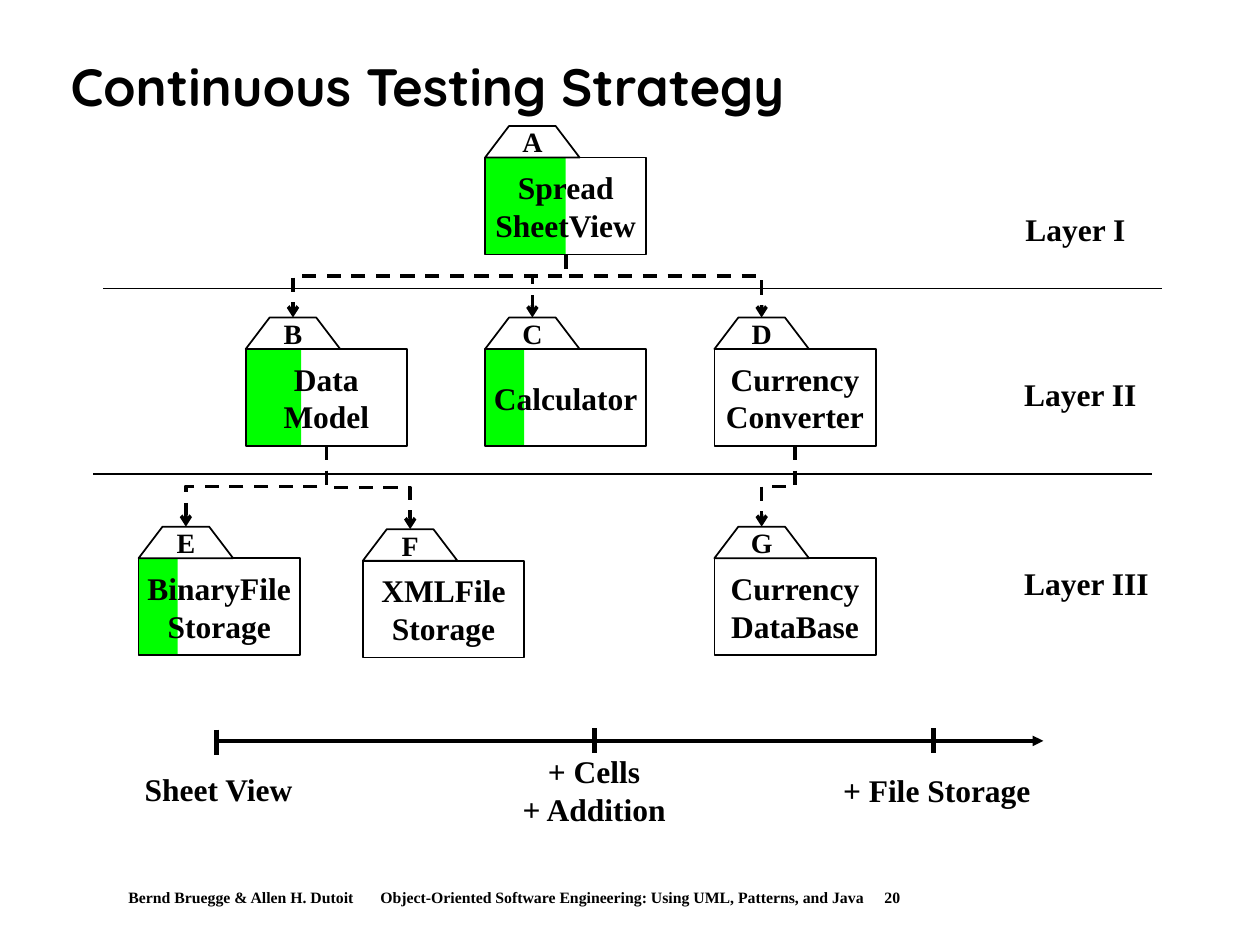
from lxml import etree
from pptx import Presentation
from pptx import util as u
from pptx.dml.color import RGBColor
from pptx.enum import dml, shapes, text
from pptx.oxml import ns

BLACK = RGBColor(0, 0, 0)
WHITE = RGBColor(255, 255, 255)
GREEN = RGBColor(0, 255, 0)
SERIF = "Times New Roman"
ROUND = "Quicksand"
BOX_W, BOX_H = 1.28, 0.77
TAB_W, TAB_H, SLANT = 0.75, 0.25, 0.19
LEFT, MID = text.PP_ALIGN.LEFT, text.PP_ALIGN.CENTER


def add_node(parent, tag, **attrs):
    return etree.SubElement(parent, ns.qn(tag), **attrs)


class Board:
    """Holds the slide and the style of its elements."""

    def __init__(self, slide, font=SERIF, size=18):
        self.slide = slide
        self.items = slide.shapes
        self.font = font
        self.size = size

    def put_text(self, frame, words, size=None, font=None, align=MID):
        frame.text = words
        for para in frame.paragraphs:
            para.alignment = align
            for run in para.runs:
                run.font.name = font or self.font
                run.font.size = u.Pt(size or self.size)
                run.font.bold = True
                run.font.color.rgb = BLACK

    def title(self, words):
        head = self.items.title
        head.left, head.top = u.Inches(0.46), u.Inches(0.24)
        head.width, head.height = u.Inches(8.92), u.Inches(0.94)
        frame = head.text_frame
        frame.vertical_anchor = text.MSO_ANCHOR.MIDDLE
        self.put_text(frame, words, 30, ROUND, LEFT)
        frame.paragraphs[0].line_spacing = 0.9

    def label(self, x, y, w, h, words, align=MID):
        box = self.items.add_textbox(*map(u.Inches, (x, y, w, h)))
        frame = box.text_frame
        frame.word_wrap = False
        frame.vertical_anchor = text.MSO_ANCHOR.MIDDLE
        self.put_text(frame, words, align=align)

    def footer(self, parts, stops):
        """One line of parts, each after the first set at a tab stop."""
        box = self.items.add_textbox(*map(u.Inches, (0.58, 7, 9.17, 0.25)))
        frame = box.text_frame
        frame.word_wrap = True
        frame.margin_left = u.Inches(0.44)
        frame.margin_right = 0
        props = frame.paragraphs[0]._p.get_or_add_pPr()
        tabs = add_node(props, "a:tabLst")
        for stop in stops:
            add_node(tabs, "a:tab", pos=str(u.Inches(stop)), algn="l")
        self.put_text(frame, "\t".join(parts), 9, align=LEFT)

    def style(self, shape, fill=None, line=None):
        shape.shadow.inherit = False
        if fill is None:
            shape.fill.background()
        else:
            shape.fill.solid()
            shape.fill.fore_color.rgb = fill
        if line is None:
            shape.line.fill.background()
        else:
            shape.line.color.rgb = line
            shape.line.width = u.Pt(1)

    def caption(self, shape, words, size=None):
        frame = shape.text_frame
        frame.word_wrap = False
        frame.vertical_anchor = text.MSO_ANCHOR.MIDDLE
        self.put_text(frame, words, size)

    def rect(self, x, y, w, fill=None, line=None):
        shape = self.items.add_shape(
            shapes.MSO_SHAPE.RECTANGLE, *map(u.Inches, (x, y, w, BOX_H)))
        self.style(shape, fill, line)
        return shape

    def pack(self, x, y, name, words, bars):
        """A package: green progress bars, body and lettered tab."""
        left = x
        for width in bars:
            self.rect(left, y, width, GREEN)
            left += width
        body = self.rect(x, y, BOX_W, None if bars else WHITE, BLACK)
        self.caption(body, words)
        outline = self.items.build_freeform(u.Inches(x), u.Inches(y))
        outline.add_line_segments([
            (u.Inches(x + SLANT), u.Inches(y - TAB_H)),
            (u.Inches(x + TAB_W - SLANT), u.Inches(y - TAB_H)),
            (u.Inches(x + TAB_W), u.Inches(y))])
        tab = outline.convert_to_shape()
        self.style(tab, WHITE, BLACK)
        self.caption(tab, name, 16)

    def line(self, x1, y1, x2, y2, width=1, tail=None, dash=False,
             kind=shapes.MSO_CONNECTOR.STRAIGHT):
        link = self.items.add_connector(
            kind, *map(u.Inches, (x1, y1, x2, y2)))
        link.line.color.rgb = BLACK
        link.line.width = u.Pt(width)
        props = link._element.spPr
        if dash:
            link.line.dash_style = dml.MSO_LINE.DASH
        if tail:
            add_node(props.find(ns.qn("a:ln")), "a:tailEnd", type=tail)
        add_node(props, "a:effectLst")
        return link

    def elbow(self, x1, y1, x2, y2, bend):
        """Arrow that leaves downwards and turns at the given share."""
        mid_x, mid_y = (x1 + x2) / 2, (y1 + y2) / 2
        half_w, half_h = (y2 - y1) / 2, abs(x2 - x1) / 2
        side = 1 if x2 < x1 else -1
        link = self.line(mid_x - side * half_w, mid_y - half_h,
                         mid_x + side * half_w, mid_y + half_h,
                         2, "arrow", True, shapes.MSO_CONNECTOR.ELBOW)
        props = link._element.spPr
        turn = 90 if side == 1 else 270
        props.find(ns.qn("a:xfrm")).set("rot", str(turn * 60000))
        geom = props.find(ns.qn("a:prstGeom"))
        guides = geom.find(ns.qn("a:avLst"))
        if guides is None:
            guides = add_node(geom, "a:avLst")
        add_node(guides, "a:gd", name="adj1",
                 fmla=f"val {round(bend * 100000)}")


PACKS = {
    "A": (3.85, 1.25, "Spread\vSheetView", (0.31, 0.18, 0.15)),
    "B": (1.95, 2.77, "Data\vModel", (0.13, 0.31)),
    "C": (3.85, 2.77, "Calculator", (0.31,)),
    "D": (5.67, 2.77, "Currency\nConverter", ()),
    "E": (1.1, 4.43, "BinaryFile\vStorage", (0.31,)),
    "F": (2.88, 4.45, "XMLFile\vStorage", ()),
    "G": (5.67, 4.43, "Currency\vDataBase", ()),
}
LINKS = [("AB", 0.34), ("AC", 0.34), ("AD", 0.34),
         ("DG", 0.5), ("BF", 0.5), ("BE", 0.5)]
LAYERS = [(8.04, 1.62, 1, "Layer I"), (8.03, 2.93, 1.09, "Layer II"),
          (8.03, 4.43, 1.19, "Layer III")]
STEPS = [(1.04, 6.06, 1.39, 0.4, "Sheet View"),
         (4.04, 5.92, 1.35, 0.7, "+ Cells\n+ Addition"),
         (6.59, 6.07, 1.69, 0.4, "+ File Storage")]


def main():
    deck = Presentation()
    deck.slide_width, deck.slide_height = u.Inches(10), u.Inches(7.5)
    board = Board(deck.slides.add_slide(deck.slide_layouts[5]))
    board.title("Continuous Testing Strategy")
    board.footer(["Bernd Bruegge & Allen H. Dutoit",
                  "Object-Oriented Software Engineering: "
                  "Using UML, Patterns, and Java", "20"], (3.09, 8.17))

    for x, y in ((0.82, 2.29), (0.74, 3.76)):
        board.line(x, y, x + 8.4, y)
    for x, y, w, words in LAYERS:
        board.label(x, y, w, 0.4, words, LEFT)

    for name, (x, y, words, bars) in PACKS.items():
        board.pack(x, y, name, words, bars)
    for (start, end), bend in LINKS:
        x1, y1 = PACKS[start][:2]
        x2, y2 = PACKS[end][:2]
        board.elbow(x1 + BOX_W / 2, y1 + BOX_H,
                    x2 + TAB_W / 2, y2 - TAB_H, bend)

    board.line(1.71, 5.88, 8.28, 5.88, 2, "triangle")
    for x, y in ((1.72, 5.79), (4.72, 5.78), (7.41, 5.78)):
        board.line(x, y, x, y + 0.2, 2.5)
    for step in STEPS:
        board.label(*step)
    deck.save("out.pptx")


if __name__ == "__main__":
    main()
